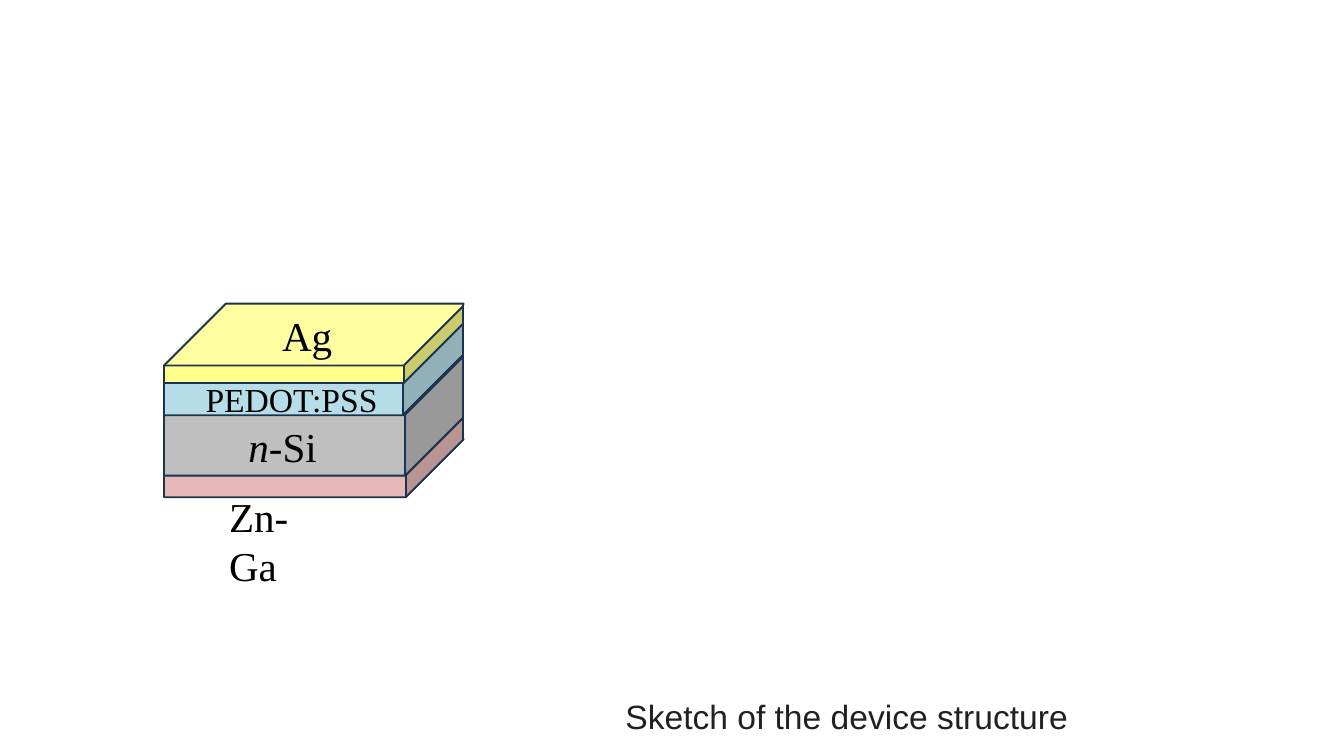
from dataclasses import dataclass

from pptx import Presentation
from pptx.dml.color import RGBColor
from pptx.enum.shapes import MSO_SHAPE
from pptx.enum.text import MSO_AUTO_SIZE
from pptx.util import Cm, Pt

CUBE, RECT = MSO_SHAPE.CUBE, MSO_SHAPE.RECTANGLE
GROW = MSO_AUTO_SIZE.SHAPE_TO_FIT_TEXT
BLANK = 6


@dataclass(frozen=True)
class Theme:
    zinc: str = "E6B9B8"
    silicon: str = "BFBFBF"
    polymer: str = "B7DEE8"
    silver: str = "FFFF8B"
    outline: str = "1C334E"
    paper: str = "FFFFFF"
    label: str = "000000"
    caption: str = "242021"
    serif: str = "Times New Roman"
    sans: str = "Arial"
    large: int = 44
    medium: int = 36
    line: int = 2


class Sketch:
    def __init__(self, slide, theme):
        self.s, self.t = slide, theme

    def block(self, kind, box, color, outlined=True):
        sp = self.s.shapes.add_shape(kind, *map(Cm, box))
        sp.shadow.inherit = False
        sp.fill.solid()
        sp.fill.fore_color.rgb = RGBColor.from_string(color)
        if outlined:
            sp.line.color.rgb = RGBColor.from_string(self.t.outline)
            sp.line.width = Pt(self.t.line)
        else:
            sp.line.fill.background()
        return sp

    def layer(self, box, depth, color):
        sp = self.block(CUBE, box, color)
        sp.adjustments[0] = depth

    def text(self, box, runs, size, font, color, wrap=False):
        tf = self.s.shapes.add_textbox(*map(Cm, box)).text_frame
        tf.word_wrap, tf.auto_size = wrap, GROW
        p = tf.paragraphs[0]
        for words, italic in runs:
            r = p.add_run()
            r.text = words
            for name, value in {"name": font, "size": Pt(size), "italic": italic}.items():
                setattr(r.font, name, value)
            r.font.color.rgb = RGBColor.from_string(color)


def main():
    prs = Presentation()
    prs.slide_width, prs.slide_height = Cm(50.8), Cm(28.58)
    t = Theme()
    sketch = Sketch(prs.slides.add_slide(prs.slide_layouts[BLANK]), t)

    # Stacked layers, bottom to top: top, width, height, depth, colour
    left = 6.2
    for top, width, height, depth, color in (
        (15.7, 11.4, 3.1, 0.73, t.zinc),
        (13.28, 11.51, 4.7, 0.51, t.silicon),
        (11.99, 11.51, 3.71, 0.67, t.polymer),
        (11.48, 11.4, 3.0, 0.78, t.silver),
    ):
        sketch.layer((left, top, width, height), depth, color)

    # Straight right-hand edge of the stack
    sketch.block(RECT, (17.5, 11.48, 1.5, 5.11), t.paper)
    sketch.block(RECT, (17.55, 11.38, 1.8, 5.79), t.paper, outlined=False)

    # Layer labels
    for box, runs, size in (
        ((9.14, 15.82, 3.1, 2.13), [("n", True), ("-Si", False)], t.large),
        ((7.52, 14.2, 7.06, 1.78), [("PEDOT:PSS", False)], t.medium),
        ((10.41, 11.61, 2.41, 2.13), [("Ag", False)], t.large),
        ((8.41, 18.44, 4.55, 2.13), [("Zn-Ga", False)], t.large),
    ):
        sketch.text(box, runs, size, t.serif, t.label)

    # Caption
    sketch.text((23.39, 26.19, 17.7, 1.78), [("Sketch of the device structure", False)],
                t.medium, t.sans, t.caption, wrap=True)

    prs.save("out.pptx")


if __name__ == "__main__":
    main()
